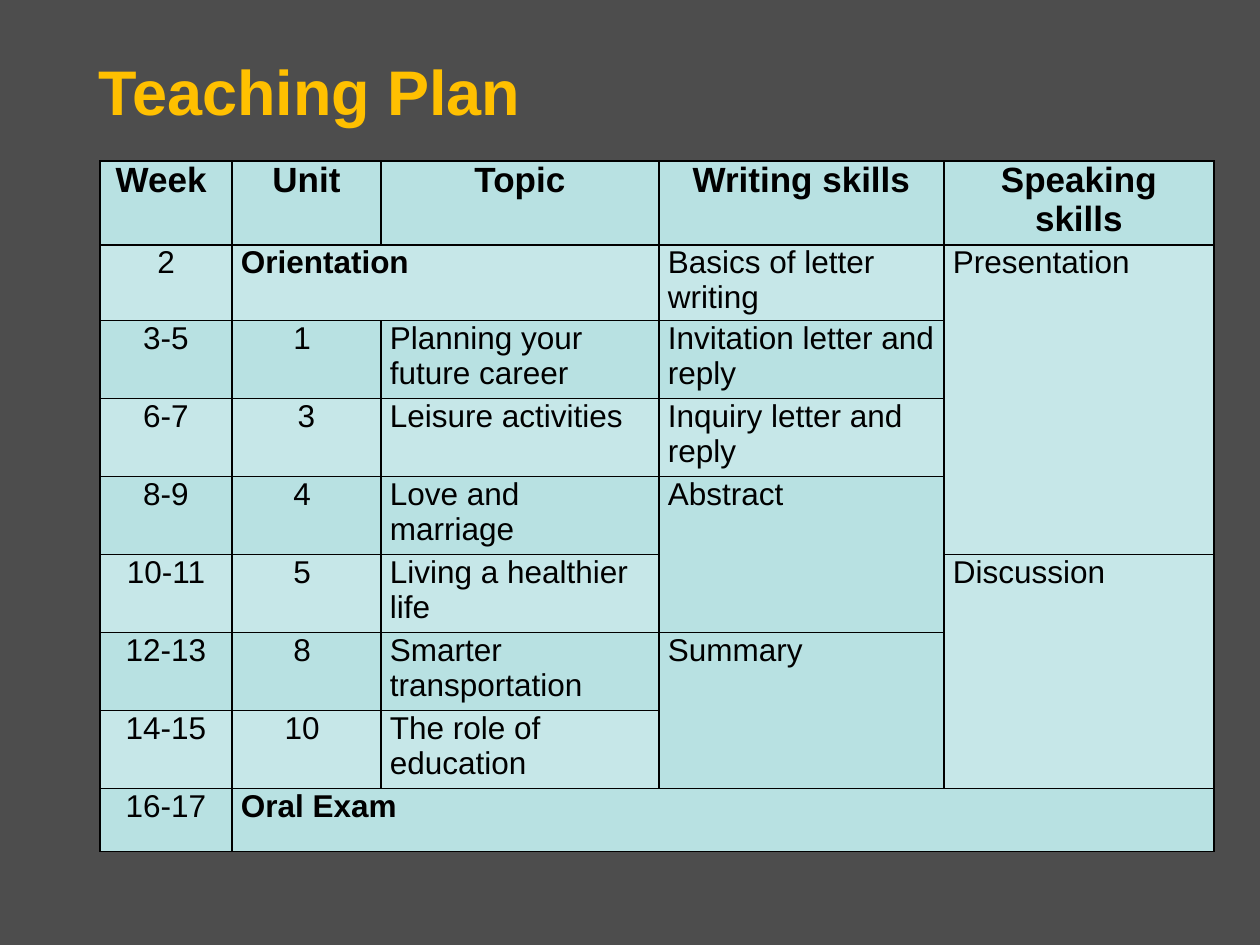
from lxml.etree import SubElement
from pptx import Presentation
from pptx.dml.color import RGBColor
from pptx.enum.text import MSO_ANCHOR, PP_ALIGN
from pptx.oxml.ns import qn
from pptx.util import Pt

# Content: None marks a cell covered by a merge
TITLE = "Teaching Plan"
ROWS = [
    ["Week ", "Unit", "Topic", "Writing skills", "Speaking skills"],
    ["2", "Orientation", None, "Basics of letter writing", "Presentation"],
    ["3-5", "1 ", "Planning your future career", "Invitation letter and reply", None],
    ["6-7", "3", "Leisure activities", "Inquiry letter and reply", None],
    ["8-9", "4 ", "Love and marriage", "Abstract", None],
    ["10-11", "5 ", "Living a healthier life", None, "Discussion"],
    ["12-13", "8 ", "Smarter transportation", "Summary", None],
    ["14-15", "10 ", "The role of education", None, None],
    ["16-17", "Oral Exam", None, None, None],
]
MERGES = [  # first (row, column), last (row, column)
    ((1, 1), (1, 2)),
    ((1, 4), (4, 4)),
    ((4, 3), (5, 3)),
    ((5, 4), (7, 4)),
    ((6, 3), (7, 3)),
    ((8, 1), (8, 4)),
]

# Theme and layout, lengths in px
THEME = {
    "font": "Arial",
    "background": "4D4D4D",
    "title": "FFC000",
    "text": "000000",
    "line": "000000",
    "bands": ("B8E1E2", "C6E7E8"),
    "title_size": 36,
    "header_size": 20,
    "body_size": 18,
}
SCALE = 914400 / 126
PAGE_SIZE = (1260, 945)
TITLE_BOX = (86, 38, 809, 105)
TABLE_ORIGIN = (100, 161)
COLUMN_WIDTHS = [132, 149, 278, 285, 270]
ROW_HEIGHTS = [60, 52] + [78] * 6 + [63]
CELL_INSET = 9


def px(length):
    return round(length * SCALE)


def write(frame, text, size, color, bold=False, align=PP_ALIGN.LEFT):
    para = frame.paragraphs[0]
    para.alignment = align
    span = para.add_run()
    span.text = text
    span.font.color.rgb = RGBColor.from_string(color)
    formats = {"name": THEME["font"], "size": Pt(size), "bold": bold}
    for name, value in formats.items():
        setattr(span.font, name, value)


def add_borders(cell):
    properties = cell._tc.get_or_add_tcPr()
    for position, side in enumerate(("a:lnL", "a:lnR", "a:lnT", "a:lnB")):
        line = properties.makeelement(qn(side), {"w": str(Pt(1))})
        fill = SubElement(line, qn("a:solidFill"))
        SubElement(fill, qn("a:srgbClr"), val=THEME["line"])
        properties.insert(position, line)


# Page
deck = Presentation()
deck.slide_width, deck.slide_height = map(px, PAGE_SIZE)
page = deck.slides.add_slide(deck.slide_layouts[6])
page.background.fill.solid()
page.background.fill.fore_color.rgb = RGBColor.from_string(THEME["background"])

# Title
title_frame = page.shapes.add_textbox(*map(px, TITLE_BOX)).text_frame
title_frame.word_wrap = True
title_frame.vertical_anchor = MSO_ANCHOR.MIDDLE
write(title_frame, TITLE, THEME["title_size"], THEME["title"], bold=True)

# Table grid
table = page.shapes.add_table(
    len(ROWS), len(COLUMN_WIDTHS), *map(px, TABLE_ORIGIN),
    px(sum(COLUMN_WIDTHS)), px(sum(ROW_HEIGHTS)),
).table
for column, width in zip(table.columns, COLUMN_WIDTHS):
    column.width = px(width)
for row, height in zip(table.rows, ROW_HEIGHTS):
    row.height = px(height)
for first, last in MERGES:
    table.cell(*first).merge(table.cell(*last))

# Cells
cell_formats = {
    "margin_left": px(CELL_INSET), "margin_right": px(CELL_INSET),
    "margin_top": 0, "margin_bottom": 0, "vertical_anchor": MSO_ANCHOR.TOP,
}
for row_index, row in enumerate(ROWS):
    header = row_index == 0
    size = THEME["header_size" if header else "body_size"]
    for column_index, text in enumerate(row):
        cell = table.cell(row_index, column_index)
        for name, value in cell_formats.items():
            setattr(cell, name, value)
        cell.fill.solid()
        cell.fill.fore_color.rgb = RGBColor.from_string(THEME["bands"][row_index % 2])
        add_borders(cell)
        if text is None:
            continue
        wide = cell.is_merge_origin and cell.span_width > 1
        centered = header or (column_index < 2 and not wide)
        write(cell.text_frame, text, size, THEME["text"], bold=header or wide,
              align=PP_ALIGN.CENTER if centered else PP_ALIGN.LEFT)

deck.save("out.pptx")
